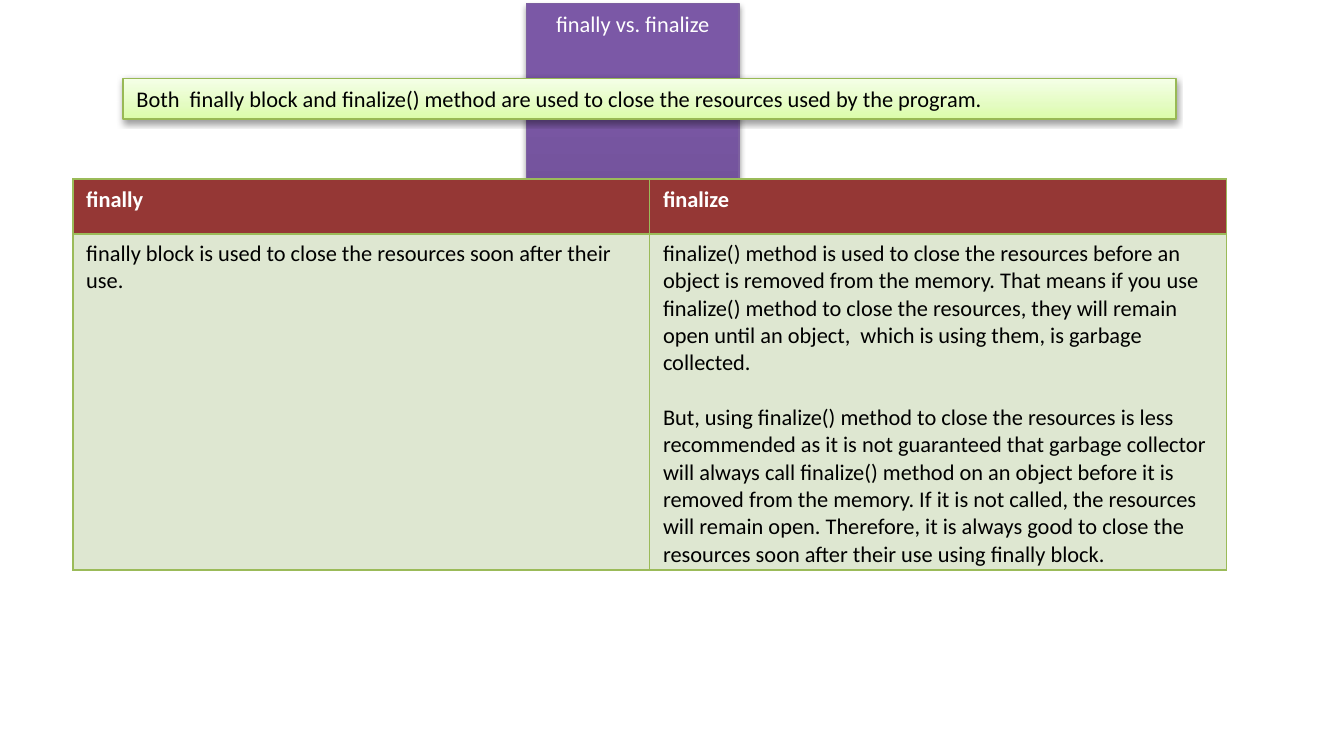
from dataclasses import dataclass

from pptx import Presentation
from pptx.dml.color import RGBColor
from pptx.enum.shapes import MSO_SHAPE
from pptx.enum.text import MSO_ANCHOR, MSO_AUTO_SIZE, PP_ALIGN
from pptx.oxml import parse_xml
from pptx.oxml.ns import nsdecls
from pptx.util import Pt


@dataclass(frozen=True)
class Theme:
    font: str = "Calibri"
    size: float = 12
    line_height: float = 14.65
    light: str = "FFFFFF"
    dark: str = "000000"
    header: str = "953735"
    body: str = "DEE7D1"
    border: str = "9BBB59"
    title_line: str = "7D60A0"
    title_stops: tuple = ((0, "5F4480"), (80, "7B58A6"), (100, "7C57A8"))
    note_line: str = "98B955"
    note_stops: tuple = ((0, "DAFDA7"), (35, "E4FCC2"), (100, "F5FFE7"))


T = Theme()


def xml_color(color, inner=""):
    return f'<a:srgbClr val="{color}">{inner}</a:srgbClr>'


def write(tf, paragraphs, color, bold=False, align=PP_ALIGN.LEFT):
    for i, text in enumerate(paragraphs):
        p = tf.paragraphs[0] if i == 0 else tf.add_paragraph()
        p.alignment = align
        p.space_before = Pt(T.line_height if i else 0)
        r = p.add_run()
        r.text = text
        for name, value in dict(name=T.font, size=Pt(T.size), bold=bold).items():
            setattr(r.font, name, value)
        r.font.color.rgb = RGBColor.from_string(color)


def style_banner(sp, box, stops, line, shadow):
    """Place a banner with an upward gradient, thin outline and soft shadow."""
    for name, value in zip(("left", "top", "width", "height"), box):
        setattr(sp, name, Pt(value))
    sp.fill.background()
    sp.line.color.rgb = RGBColor.from_string(line)
    sp.line.width = Pt(0.75)
    sp.shadow.inherit = False

    # Gradient fill
    spPr = sp._element.spPr
    gs = "".join(f'<a:gs pos="{pos * 1000}">{xml_color(c)}</a:gs>' for pos, c in stops)
    grad = parse_xml(f'<a:gradFill {nsdecls("a")} rotWithShape="1"><a:gsLst>{gs}</a:gsLst>'
                     '<a:lin ang="16200000" scaled="0"/></a:gradFill>')
    spPr.replace(spPr.find("{*}noFill"), grad)

    # Shadow
    alpha, distance = shadow
    spPr.find("{*}effectLst").append(parse_xml(
        f'<a:outerShdw {nsdecls("a")} blurRad="{Pt(3.1)}" dist="{Pt(distance)}" '
        f'dir="5400000" rotWithShape="0">'
        f'{xml_color(T.dark, f"""<a:alpha val="{alpha * 1000}"/>""")}</a:outerShdw>'))

    # Text frame
    frame = dict(word_wrap=True, auto_size=MSO_AUTO_SIZE.SHAPE_TO_FIT_TEXT,
                 vertical_anchor=MSO_ANCHOR.TOP, margin_left=Pt(7.2),
                 margin_right=Pt(7.2), margin_top=Pt(3.6), margin_bottom=Pt(3.6))
    for name, value in frame.items():
        setattr(sp.text_frame, name, value)


def add_title(s, box, text):
    sp = s.shapes.title
    style_banner(sp, box, T.title_stops, T.title_line, (35, 1.8))
    write(sp.text_frame, [text], T.light, align=PP_ALIGN.CENTER)


def add_note(s, box, text):
    sp = s.shapes.add_shape(MSO_SHAPE.RECTANGLE, *map(Pt, box))
    style_banner(sp, box, T.note_stops, T.note_line, (38, 1.6))
    write(sp.text_frame, [text], T.dark)


def add_borders(cell):
    tcPr = cell._tc.get_or_add_tcPr()
    for i, side in enumerate(("lnL", "lnR", "lnT", "lnB")):
        tcPr.insert(i, parse_xml(
            f'<a:{side} {nsdecls("a")} w="{Pt(1)}"><a:solidFill>'
            f'{xml_color(T.border)}</a:solidFill></a:{side}>'))


def add_comparison(s, box, rows, header_height):
    left, top, width, height = box
    table = s.shapes.add_table(len(rows), len(rows[0]), *map(Pt, box)).table
    table.horz_banding = False
    for col in table.columns:
        col.width = Pt(width / len(rows[0]))
    for i, row in enumerate(rows):
        is_header = i == 0
        table.rows[i].height = Pt(header_height if is_header else height - header_height)
        for j, paragraphs in enumerate(row):
            cell = table.cell(i, j)
            cell.fill.solid()
            cell.fill.fore_color.rgb = RGBColor.from_string(T.header if is_header else T.body)
            add_borders(cell)
            write(cell.text_frame, paragraphs, T.light if is_header else T.dark, is_header)


ROWS = [
    [["finally"], ["finalize"]],
    [
        ["finally block is used to close the resources soon after their use."],
        ["finalize() method is used to close the resources before an object is removed "
         "from the memory. That means if you use finalize() method to close the resources, "
         "they will remain open until an object, \u00a0which is using them, is garbage "
         "collected.",
         "But, using finalize() method to close the resources is less recommended as it is "
         "not guaranteed that garbage collector will always call finalize() method on an "
         "object before it is removed from the memory. If it is not called, the resources "
         "will remain open. Therefore, it is always good to close the resources soon after "
         "their use using\u00a0finally block."],
    ],
]

prs = Presentation()
prs.slide_width, prs.slide_height = Pt(720), Pt(396)
s = prs.slides.add_slide(prs.slide_layouts[5])

add_title(s, (282, 2, 114, 21.8), "finally vs. finalize")
add_comparison(s, (39, 96, 618, 209.5), ROWS, 29.25)
add_note(s, (66, 42, 564, 21.8),
         "Both \u00a0finally block\u00a0and\u00a0finalize() method are used to close "
         "the resources used by the program.")

prs.save("out.pptx")
